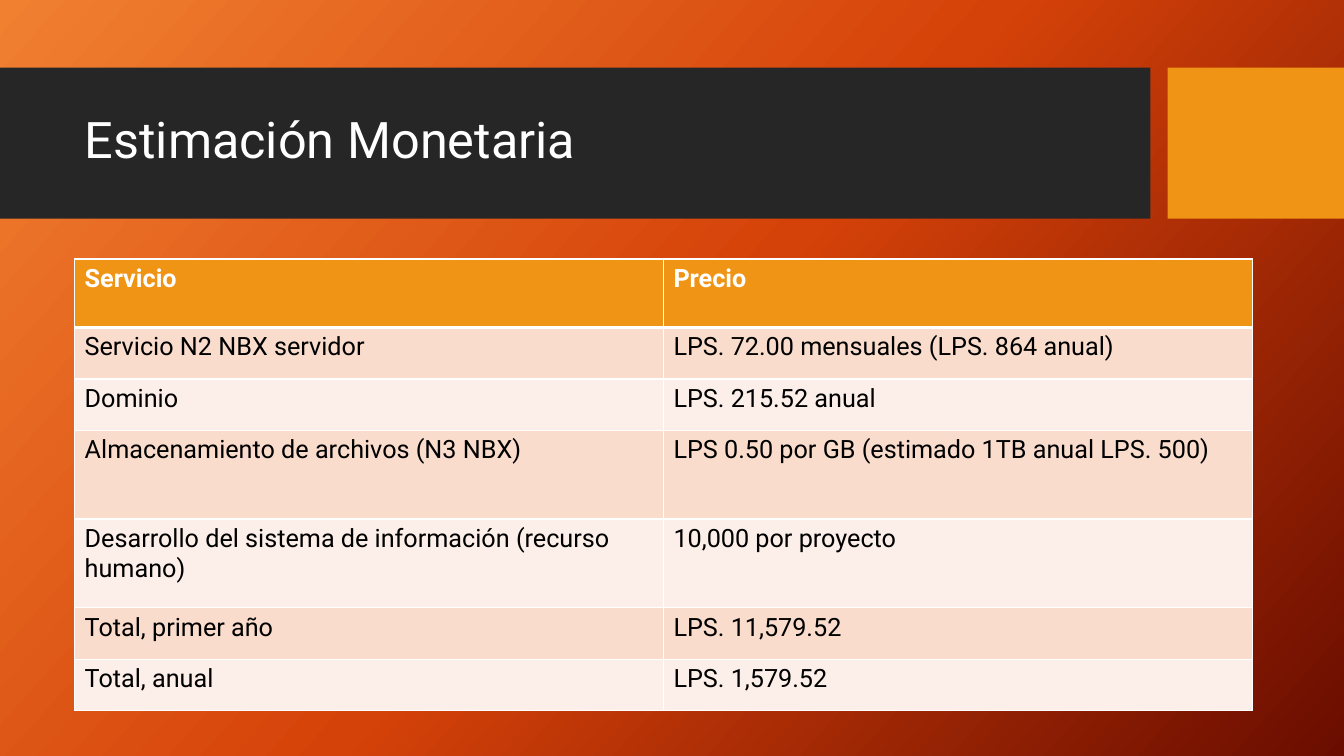
import copy

from lxml import etree
from pptx import Presentation
from pptx.dml.color import RGBColor
from pptx.enum import shapes, text
from pptx.oxml.ns import qn
from pptx.util import Inches, Pt

FONT = "Roboto"
WHITE, BLACK, DARK, ORANGE = "FFFFFF", "000000", "262626", "F09415"
ROW_FILLS = ["F9DCCC", "FCEEE8"]
GRADIENT = [(0, "F18031"), (0.5, "D54209"), (1, "6A0D00")]
COSTS = [
    ("Servicio", "Precio"),
    ("Servicio N2 NBX servidor", "LPS. 72.00 mensuales (LPS. 864 anual)"),
    ("Dominio", "LPS. 215.52 anual"),
    ("Almacenamiento de archivos (N3 NBX)",
     "LPS 0.50 por GB (estimado 1TB anual LPS. 500)"),
    ("Desarrollo del sistema de información (recurso humano)",
     "10,000 por proyecto"),
    ("Total, primer año", "LPS. 11,579.52"),
    ("Total, anual", "LPS. 1,579.52"),
]
ROW_HEIGHTS = [0.68, 0.51, 0.51, 0.88, 0.88, 0.51, 0.51]


def rgb(value):
    return RGBColor.from_string(value)


def add_run(p, words, size, color, bold=False):
    r = p.add_run()
    r.text = words
    r.font.name, r.font.size, r.font.bold = FONT, Pt(size), bold
    r.font.color.rgb = rgb(color)


def paint_background(s):
    fill = s.background.fill
    fill.gradient()
    fill.gradient_angle = 360 - 42
    stops = s.element.find(".//" + qn("a:gsLst"))
    stops.append(copy.deepcopy(stops[-1]))
    for stop, (position, color) in zip(fill.gradient_stops, GRADIENT):
        stop.position = position
        stop.color.rgb = rgb(color)


def add_block(s, x, y, w, h, color):
    sp = s.shapes.add_shape(shapes.MSO_SHAPE.RECTANGLE,
                            Inches(x), Inches(y), Inches(w), Inches(h))
    sp.shadow.inherit = False
    sp.fill.solid()
    sp.fill.fore_color.rgb = rgb(color)
    sp.line.fill.background()


def add_header(s, x, y, w, h):
    """Dark title band with an orange block at its right end."""
    block_w, gap = 1.75, 0.17
    band_w = w - block_w - gap
    add_block(s, x, y, band_w, h, DARK)
    add_block(s, x + w - block_w, y, block_w, h, ORANGE)

    title = s.shapes.title
    title.left, title.top = Inches(x + 0.74), Inches(y + 0.15)
    title.width, title.height = Inches(band_w - 0.74), Inches(1.18)
    s.shapes.element.append(title.element)  # in front of the band
    tf = title.text_frame
    tf.word_wrap = True
    tf.vertical_anchor = text.MSO_ANCHOR.MIDDLE
    p = tf.paragraphs[0]
    p.alignment = text.PP_ALIGN.LEFT
    p.line_spacing = 0.9
    add_run(p, "Estimación Monetaria", 36, WHITE)


def set_borders(cell, widths):
    """Draw white borders; widths maps L, R, T, B to points, in that order."""
    tcPr = cell._tc.get_or_add_tcPr()
    for i, (side, width) in enumerate(widths.items()):
        ln = etree.Element(qn("a:ln" + side), w=str(Pt(width)))
        fill = etree.SubElement(ln, qn("a:solidFill"))
        etree.SubElement(fill, qn("a:srgbClr"), val=WHITE)
        tcPr.insert(i, ln)


def add_cost_table(s, x, y, w):
    columns = len(COSTS[0])
    table = s.shapes.add_table(len(COSTS), columns, Inches(x), Inches(y),
                               Inches(w), Inches(sum(ROW_HEIGHTS))).table
    for column in table.columns:
        column.width = Inches(w / columns)
    for i, (row, height) in enumerate(zip(table.rows, ROW_HEIGHTS)):
        row.height = Inches(height)
        header = i == 0
        for cell, words in zip(row.cells, COSTS[i]):
            cell.fill.solid()
            cell.fill.fore_color.rgb = rgb(
                ORANGE if header else ROW_FILLS[(i - 1) % 2])
            set_borders(cell, {"L": 1, "R": 1, "T": 3 if i == 1 else 1,
                               "B": 3 if header else 1})
            add_run(cell.text_frame.paragraphs[0], words, 18,
                    WHITE if header else BLACK, header)


def main():
    prs = Presentation()
    prs.slide_width, prs.slide_height = Inches(13.33), Inches(7.5)
    s = prs.slides.add_slide(prs.slide_layouts[5])
    paint_background(s)
    add_header(s, 0, 0.67, 13.33, 1.5)
    add_cost_table(s, 0.74, 2.57, 11.68)
    prs.save("out.pptx")


if __name__ == "__main__":
    main()
